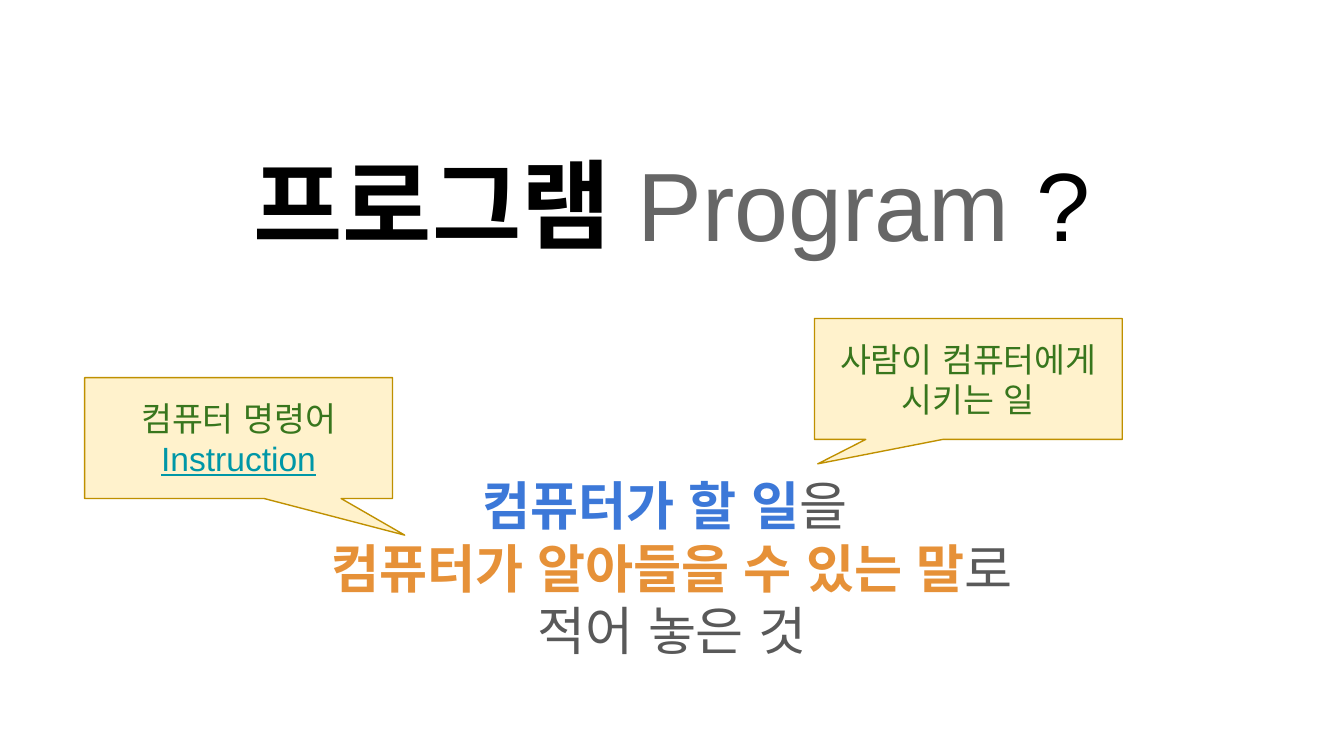
import pptx
import pptx.util
import pptx.dml.color
import pptx.enum.shapes
import pptx.enum.text
import pptx.oxml.ns
from lxml import etree

Inches = pptx.util.Inches
Pt = pptx.util.Pt
Anchor = pptx.enum.text.MSO_ANCHOR

HUES = {
    "black": "000000", "gray": "666666", "text": "595959",
    "blue": "3C78D8", "orange": "E69138", "green": "38761D",
    "teal": "0097A7", "cream": "FFF2CC", "gold": "BF9000",
}
FONT = "Arial"

TITLE = [[("프로그램 ", "black", "b"), ("Program", "gray", ""), (" ?", "black", "")]]
BODY = [
    [("컴퓨터가 할 일", "blue", "b"), ("을 ", "text", "")],
    [("컴퓨터가 알아들을 수 있는 말", "orange", "b"), ("로", "text", "")],
    [("적어 놓은 것", "text", "")],
]
NOTES = [
    (6.06, 2.37, (-0.489, 0.702, 0),
     [[("사람이 컴퓨터에게", "green", "")], [("시키는 일", "green", "")]]),
    (0.63, 2.81, (0.54, 0.803, 0),
     [[("컴퓨터 명령어", "green", "")], [("Instruction", "teal", "u")]]),
]
LEFT, WIDE = 0.34, 9.32
NOTE_W, NOTE_H = 2.29, 0.9


def color(name):
    return pptx.dml.color.RGBColor.from_string(HUES[name])


def write(shape, lines, size, anchor):
    frame = shape.text_frame
    frame.word_wrap = True
    frame.auto_size = pptx.enum.text.MSO_AUTO_SIZE.NONE
    frame.vertical_anchor = anchor
    frame.margin_left = frame.margin_right = Inches(0.1)
    frame.margin_top = frame.margin_bottom = Inches(0.1)
    frame.text = "\n".join("" for line in lines)
    for para, line in zip(frame.paragraphs, lines):
        para.alignment = pptx.enum.text.PP_ALIGN.CENTER
        para.line_spacing = 1.0
        para.space_before = Pt(0)
        for text, hue, style in line:
            run = para.add_run()
            run.text = text
            font = run.font
            font.name = FONT
            font.size = Pt(size)
            font.bold = style == "b"
            font.underline = style == "u"
            font.color.rgb = color(hue)
            asian = etree.SubElement(run._r.rPr, pptx.oxml.ns.qn("a:ea"))
            asian.set("typeface", FONT)


deck = pptx.Presentation()
deck.slide_width = Inches(10)
deck.slide_height = deck.slide_width * 9 // 16
slide = deck.slides.add_slide(deck.slide_layouts[5])

title = slide.shapes.title
title.left, title.top = Inches(LEFT), Inches(0.64)
title.width, title.height = Inches(WIDE), Inches(1.4)
write(title, TITLE, 52, Anchor.BOTTOM)

body = slide.shapes.add_textbox(Inches(LEFT), Inches(3.42), Inches(WIDE), Inches(1.56))
write(body, BODY, 28, Anchor.TOP)

for left, top, tail, lines in NOTES:
    note = slide.shapes.add_shape(
        pptx.enum.shapes.MSO_SHAPE.ROUNDED_RECTANGULAR_CALLOUT,
        Inches(left), Inches(top), Inches(NOTE_W), Inches(NOTE_H))
    for index, value in enumerate(tail):
        note.adjustments[index] = value
    note.shadow.inherit = False
    note.fill.solid()
    note.fill.fore_color.rgb = color("cream")
    note.line.color.rgb = color("gold")
    note.line.width = Pt(0.75)
    write(note, lines, 18, Anchor.MIDDLE)

deck.save("out.pptx")
